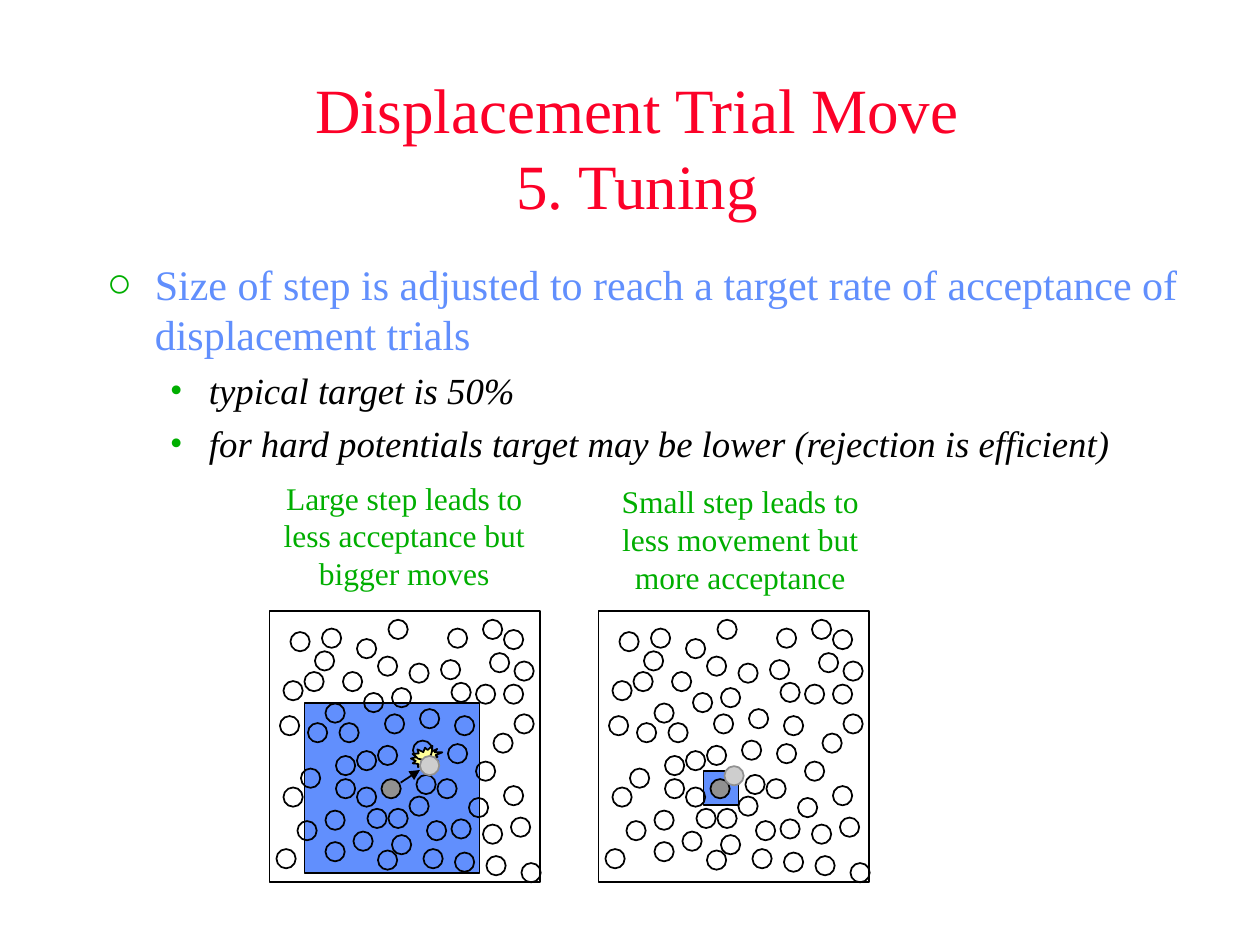
"""Build a slide on tuning the step size of displacement trial moves."""
import pptx
import pptx.dml.color
import pptx.enum.shapes
import pptx.enum.text
import pptx.oxml.ns
import pptx.util
from lxml import etree

UNIT = pptx.util.Inches(1) / 36
KIND = pptx.enum.shapes.MSO_SHAPE
ALIGN = pptx.enum.text.PP_ALIGN
FONT = "Times New Roman"
BLACK, GREEN, BLUE, RED = "000000", "00AE00", "618FFD", "FC0128"
DARK, LIGHT, YELLOW = "919191", "CECECE", "FFFF99"
BALL = 5.5
SIDE = 77.4
TOP = 174.6

SPOTS = [
    (6, 6), (15, 5), (4, 20), (25, 8), (20, 32), (40, 15), (19, 48),
    (48, 48), (59, 21), (64, 35), (67, 50), (45, 60), (62, 70), (35, 64),
    (41, 37), (11, 32), (24, 63), (52, 59.5), (59, 43), (67, 21), (53, 30),
    (63, 12), (51, 38), (40, 53), (16, 57), (16, 66), (44, 68), (9, 45),
    (43, 28), (51, 5), (2, 68), (3, 30), (21, 17.4), (31, 13), (35, 22),
    (25, 40), (61, 61), (49, 14), (53, 69), (72, 72), (8, 60), (69, 59),
    (27, 23.4), (33, 29.5), (31, 38.5), (10, 17.4), (52, 20.5), (57, 53.4),
    (28, 56.5), (34, 2.5), (13, 11.5), (34, 56.5), (25, 50.4), (19, 41.4),
    (16, 26.4), (42, 46.8), (61, 2.5), (67, 5.4), (70, 14.4), (70, 29.5),
    (4, 50.4), (31, 68.4),
]

PANELS = [
    dict(left=77, step=(10, 26.3, 50, 48.6), burst=(40.4, 38.5, 9, 6.1),
         trial=(43, 41.4), arrow=(37.5, 49, 43, 45.4), note=(75, 135),
         text="Large step leads to less acceptance but bigger moves"),
    dict(left=171, step=(30, 45.7, 10, 9.7), burst=None,
         trial=(36, 44.3), arrow=None, note=(171, 136),
         text="Small step leads to less movement but more acceptance"),
]

BODY = [
    ("Size of step is adjusted to reach a target rate of acceptance of "
     "displacement trials", 0),
    ("typical target is 50%", 1),
    ("for hard potentials target may be lower (rejection is efficient)", 1),
]
LEVELS = [
    dict(size=24, tint=BLUE, mark="○", left=0.38, hang=0.38, gap=6),
    dict(size=21, tint=BLACK, mark="•", left=0.81, hang=0.31, gap=5.2),
]


def color(code):
    return pptx.dml.color.RGBColor.from_string(code)


def draw(kind, col, row, wide, high, fill=None, line=BLACK):
    shape = slide.shapes.add_shape(
        kind, *(round(n * UNIT) for n in (col, row, wide, high)))
    shape.shadow.inherit = False
    if fill:
        shape.fill.solid()
        shape.fill.fore_color.rgb = color(fill)
    else:
        shape.fill.background()
    shape.line.color.rgb = color(line)
    shape.line.width = pptx.util.Pt(1)


deck = pptx.Presentation()
deck.slide_width = pptx.util.Inches(10)
deck.slide_height = pptx.util.Inches(7.5)
slide = deck.slides.add_slide(deck.slide_layouts[6])

for panel in PANELS:
    left = panel["left"]
    col, row, wide, high = panel["step"]
    draw(KIND.RECTANGLE, left + col, TOP + row, wide, high, BLUE)
    if panel["burst"]:
        col, row, wide, high = panel["burst"]
        draw(KIND.EXPLOSION2, left + col, TOP + row, wide, high, YELLOW)
    draw(KIND.RECTANGLE, left, TOP, SIDE, SIDE)
    for col, row in SPOTS:
        draw(KIND.OVAL, left + col, TOP + row, BALL, BALL)
    draw(KIND.OVAL, left + 32, TOP + 48, BALL, BALL, DARK)
    col, row = panel["trial"]
    draw(KIND.OVAL, left + col, TOP + row, BALL, BALL, LIGHT, DARK)
    if panel["arrow"]:
        x, y, end, rise = panel["arrow"]
        arrow = slide.shapes.add_connector(
            pptx.enum.shapes.MSO_CONNECTOR.STRAIGHT,
            round((left + x) * UNIT), round((TOP + y) * UNIT),
            round((left + end) * UNIT), round((TOP + rise) * UNIT))
        arrow.line.color.rgb = color(BLACK)
        arrow.line.width = pptx.util.Pt(1)
        etree.SubElement(arrow.line._get_or_add_ln(),
                         pptx.oxml.ns.qn("a:tailEnd"), type="triangle")
        etree.SubElement(arrow._element.spPr, pptx.oxml.ns.qn("a:effectLst"))

title = dict(at=(27, 24, 310, 35.6), size=36, tint=RED, gap=0,
             lines=["Displacement Trial Move", "5. Tuning"])
notes = [dict(at=(*panel["note"], 81, 36), size=18, tint=GREEN, gap=11.2,
              lines=[panel["text"]]) for panel in PANELS]
for item in [title, *notes]:
    box = slide.shapes.add_textbox(*(round(n * UNIT) for n in item["at"]))
    frame = box.text_frame
    frame.word_wrap = True
    if item is title:
        frame.vertical_anchor = pptx.enum.text.MSO_ANCHOR.MIDDLE
    para = frame.paragraphs[0]
    para.alignment = ALIGN.CENTER
    para.space_before = pptx.util.Pt(item["gap"])
    for i, line in enumerate(item["lines"]):
        if i:
            para.add_line_break()
        run = para.add_run()
        run.text = line
        run.font.name = FONT
        run.font.size = pptx.util.Pt(item["size"])
        run.font.color.rgb = color(item["tint"])

box = slide.shapes.add_textbox(*(round(n * UNIT) for n in (27, 72, 315, 162)))
frame = box.text_frame
frame.word_wrap = True
for i, (text, depth) in enumerate(BODY):
    level = LEVELS[depth]
    para = frame.add_paragraph() if i else frame.paragraphs[0]
    para.level = depth
    para.space_before = pptx.util.Pt(level["gap"])
    props = para._p.get_or_add_pPr()
    props.set("marL", str(pptx.util.Inches(level["left"])))
    props.set("indent", str(-pptx.util.Inches(level["hang"])))
    tint = etree.SubElement(props, pptx.oxml.ns.qn("a:buClr"))
    etree.SubElement(tint, pptx.oxml.ns.qn("a:srgbClr"), val=GREEN)
    etree.SubElement(props, pptx.oxml.ns.qn("a:buFont"), typeface=FONT)
    etree.SubElement(props, pptx.oxml.ns.qn("a:buChar"), char=level["mark"])
    run = para.add_run()
    run.text = text
    run.font.name = FONT
    run.font.size = pptx.util.Pt(level["size"])
    run.font.italic = depth == 1
    run.font.color.rgb = color(level["tint"])

deck.save("out.pptx")
